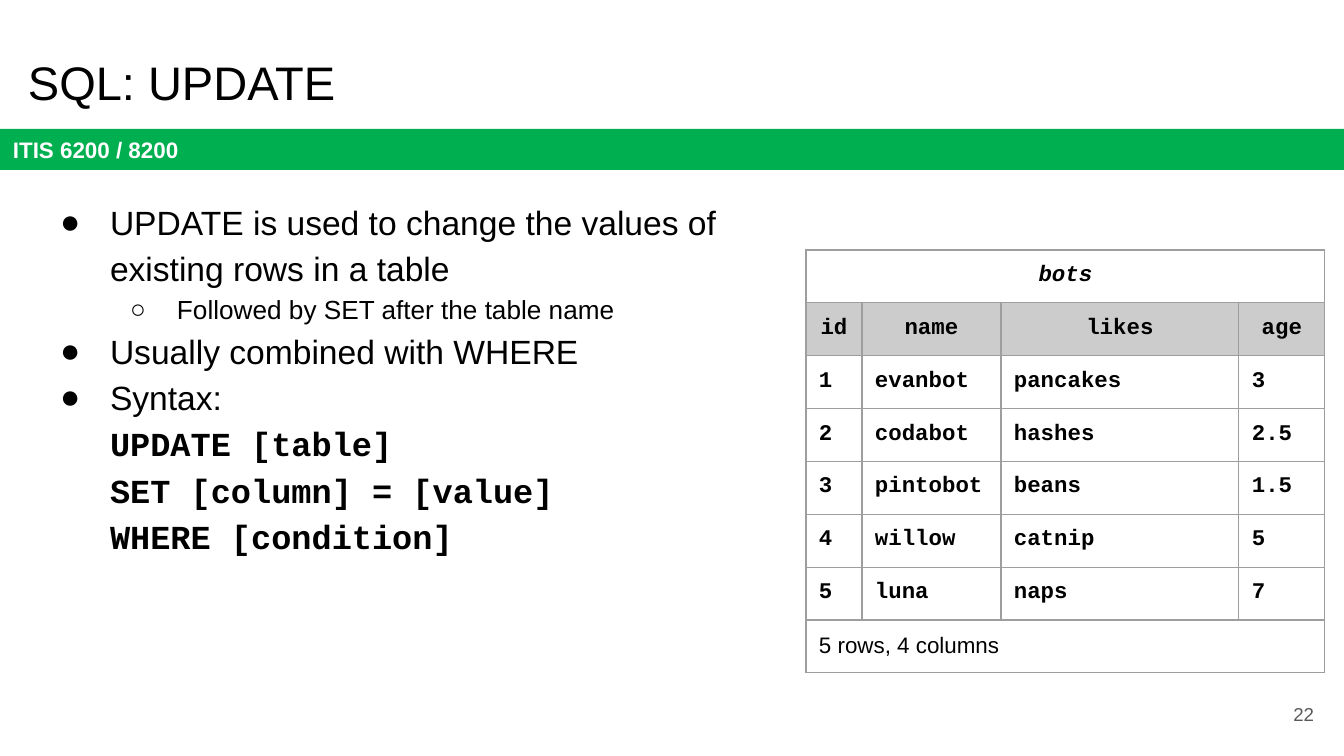
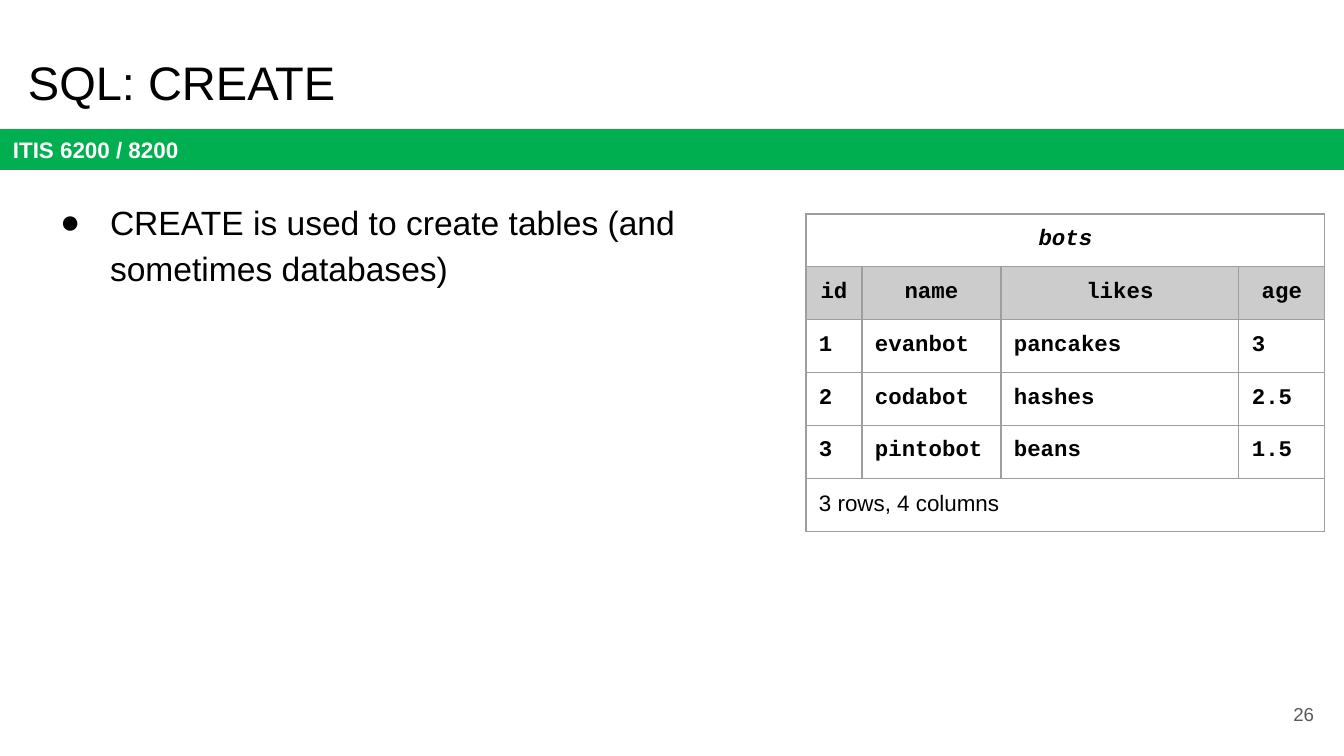
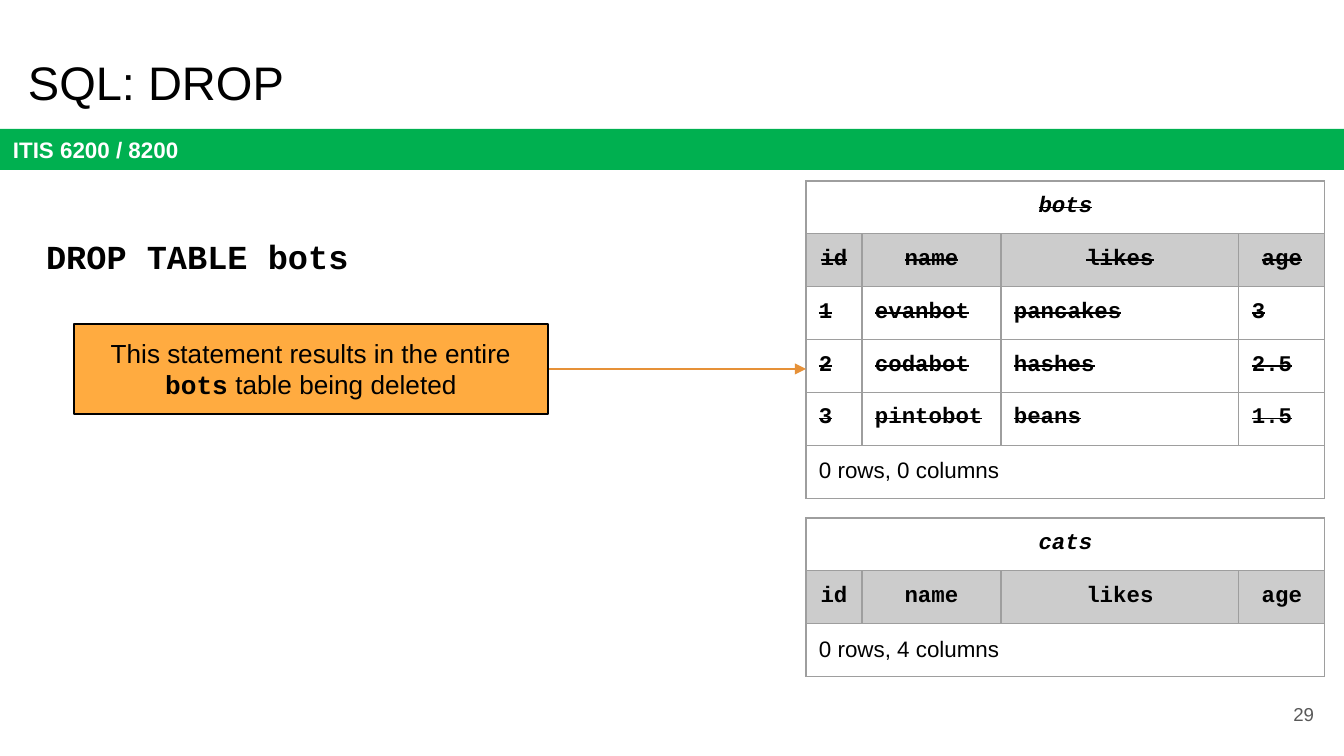
from lxml import etree
from pptx import Presentation
from pptx import util as u
from pptx.dml.color import RGBColor
from pptx.enum import shapes, text
from pptx.oxml import ns

PX = 914400 / 134.4
COLORS = {"black": "000000", "white": "FFFFFF", "band": "00B050", "number": "595959",
          "border": "9E9E9E", "header": "CCCCCC", "callout": "FFAB40", "arrow": "E69138"}
SANS, MONO = "Arial", "Courier New"
BULLETS = [("●", 67, -50), ("○", 134, -47)]
ALIGN, ANCHOR = text.PP_ALIGN, text.MSO_ANCHOR


def px(*lengths):
    return [u.Emu(round(n * PX)) for n in lengths]


def write(target, content, new=True, size=12, font=SANS, color="black", bold=False, italic=False,
          strike=False, align=None, spacing=None, after=None, bullet=None, anchor=ANCHOR.TOP):
    tf = getattr(target, "text_frame", target)
    tf.word_wrap = True
    target.vertical_anchor = anchor
    for side in ("left", "top", "right", "bottom"):
        setattr(target, f"margin_{side}", px(13)[0])
    p = tf.paragraphs[-1]
    if new and p.runs:
        p = tf.add_paragraph()
    if align is not None:
        p.alignment = align
    if spacing:
        p.line_spacing = spacing
    if after:
        p.space_after = u.Pt(after)
    if bullet is not None:
        mark, margin, indent = BULLETS[bullet]
        pPr = p._p.get_or_add_pPr()
        pPr.set("lvl", str(bullet))
        pPr.set("marL", str(px(margin)[0]))
        pPr.set("indent", str(px(indent)[0]))
        clr = etree.SubElement(pPr, ns.qn("a:buClr"))
        etree.SubElement(clr, ns.qn("a:srgbClr"), val=COLORS["black"])
        etree.SubElement(pPr, ns.qn("a:buFont"), typeface=SANS)
        etree.SubElement(pPr, ns.qn("a:buChar"), char=mark)
    for i, line in enumerate(content.split("\n")):
        if i:
            p.add_line_break()
        if line:
            r = p.add_run()
            r.text = line
            r.font.size = u.Pt(size)
            r.font.name = font
            r.font.bold = bold
            r.font.italic = italic
            r.font.color.rgb = RGBColor.from_string(COLORS[color])
            if strike:
                r._r.get_or_add_rPr().set("strike", "sngStrike")


POINT = dict(size=18, spacing=1.15, bullet=0)
SUBPOINT = dict(size=14, spacing=1.15, bullet=1)
CODE = dict(size=18, font=MONO, bold=True)
BODY = (30, 183, 755, 554)
COLUMNS = px(56, 139, 238, 86)
ROW_HEIGHT = 52
HEADER = ["id", "name", "likes", "age"]
BOTS = [["1", "evanbot", "pancakes", "3"],
        ["2", "codabot", "hashes", "2.5"],
        ["3", "pintobot", "beans", "1.5"]]
MORE_BOTS = [["4", "willow", "catnip", "5"],
             ["5", "luna", "naps", "7"]]

SLIDES = [
    ("SQL: UPDATE", "22", BODY,
     [("UPDATE is used to change the values of existing rows in a table", POINT),
      ("Followed by SET after the table name", SUBPOINT),
      ("Usually combined with WHERE", POINT),
      ("Syntax:", POINT),
      ("\nUPDATE [table]\nSET [column] = [value]\nWHERE [condition]", dict(CODE, new=False))],
     [(250, "bots", BOTS + MORE_BOTS, "5 rows, 4 columns", False)]),
    ("SQL: CREATE", "26", BODY,
     [("CREATE is used to create tables (and sometimes databases)", POINT)],
     [(214, "bots", BOTS, "3 rows, 4 columns", False)]),
    ("SQL: DROP", "29", (33, 217, 617, 67),
     [("DROP TABLE bots", dict(CODE, spacing=1.15, after=12))],
     [(181, "bots", BOTS, "0 rows, 0 columns", True),
      (518, "cats", [], "0 rows, 4 columns", False)]),
]

prs = Presentation()
prs.slide_width, prs.slide_height = px(1344, 756)

for title, number, body_box, body, tables in SLIDES:
    s = prs.slides.add_slide(prs.slide_layouts[6])
    band = s.shapes.add_shape(shapes.MSO_SHAPE.RECTANGLE, *px(0, 129, 1344, 41))
    band.shadow.inherit = False
    band.fill.solid()
    band.fill.fore_color.rgb = RGBColor.from_string(COLORS["band"])
    band.line.fill.background()
    write(band.text_frame, "ITIS 6200 / 8200", color="white", bold=True,
          align=ALIGN.LEFT, anchor=ANCHOR.MIDDLE)

    write(s.shapes.add_textbox(*px(15, 40, 1253, 85)).text_frame, title, size=25.2)
    tf = s.shapes.add_textbox(*px(*body_box)).text_frame
    for content, style in body:
        write(tf, content, **style)
    write(s.shapes.add_textbox(*px(1246, 685, 81, 58)).text_frame, number, size=10,
          color="number", align=ALIGN.RIGHT, anchor=ANCHOR.MIDDLE)

    for top, name, records, summary, dropped in tables:
        rows = [[name], HEADER, *records, [summary]]
        last = len(rows) - 1
        frame = s.shapes.add_table(len(rows), 4, *px(806, top, 519, ROW_HEIGHT * len(rows)))
        table = frame.table
        table.first_row = table.horz_banding = False
        for column, width in zip(table.columns, COLUMNS):
            column.width = width
        for i, row in enumerate(rows):
            table.rows[i].height = px(ROW_HEIGHT)[0]
            if len(row) == 1:
                table.cell(i, 0).merge(table.cell(i, 3))
            for j in range(4):
                cell = table.cell(i, j)
                tcPr = cell._tc.get_or_add_tcPr()
                for edge in ("lnL", "lnR", "lnT", "lnB"):
                    ln = etree.SubElement(tcPr, ns.qn(f"a:{edge}"), w=str(u.Pt(0.75)))
                    fill = etree.SubElement(ln, ns.qn("a:solidFill"))
                    etree.SubElement(fill, ns.qn("a:srgbClr"), val=COLORS["border"])
                if i == 1:
                    cell.fill.solid()
                    cell.fill.fore_color.rgb = RGBColor.from_string(COLORS["header"])
                else:
                    cell.fill.background()
            for j, value in enumerate(row):
                data = i < last
                write(table.cell(i, j), value, font=MONO if data else SANS, bold=data,
                      italic=i == 0, strike=dropped and data,
                      align=ALIGN.CENTER if i < 2 else ALIGN.LEFT)

note = s.shapes.add_group_shape()
arrow = note.shapes.add_connector(shapes.MSO_CONNECTOR.STRAIGHT, *px(548, 369, 806, 369))
arrow.line.color.rgb = RGBColor.from_string(COLORS["arrow"])
arrow.line.width = u.Pt(1.5)
etree.SubElement(arrow.line._get_or_add_ln(), ns.qn("a:tailEnd"), type="triangle")
etree.SubElement(arrow._element.spPr, ns.qn("a:effectLst"))

callout = note.shapes.add_shape(shapes.MSO_SHAPE.RECTANGLE, *px(74, 324, 474, 90))
callout.shadow.inherit = False
callout.fill.solid()
callout.fill.fore_color.rgb = RGBColor.from_string(COLORS["callout"])
callout.line.color.rgb = RGBColor.from_string(COLORS["black"])
callout.line.width = u.Pt(1.5)
tf = callout.text_frame
tf.auto_size = text.MSO_AUTO_SIZE.SHAPE_TO_FIT_TEXT
write(tf, "This statement results in the entire ", size=14, align=ALIGN.CENTER)
write(tf, "bots", new=False, size=14, font=MONO, bold=True)
write(tf, " table being deleted", new=False, size=14)

prs.save("out.pptx")
